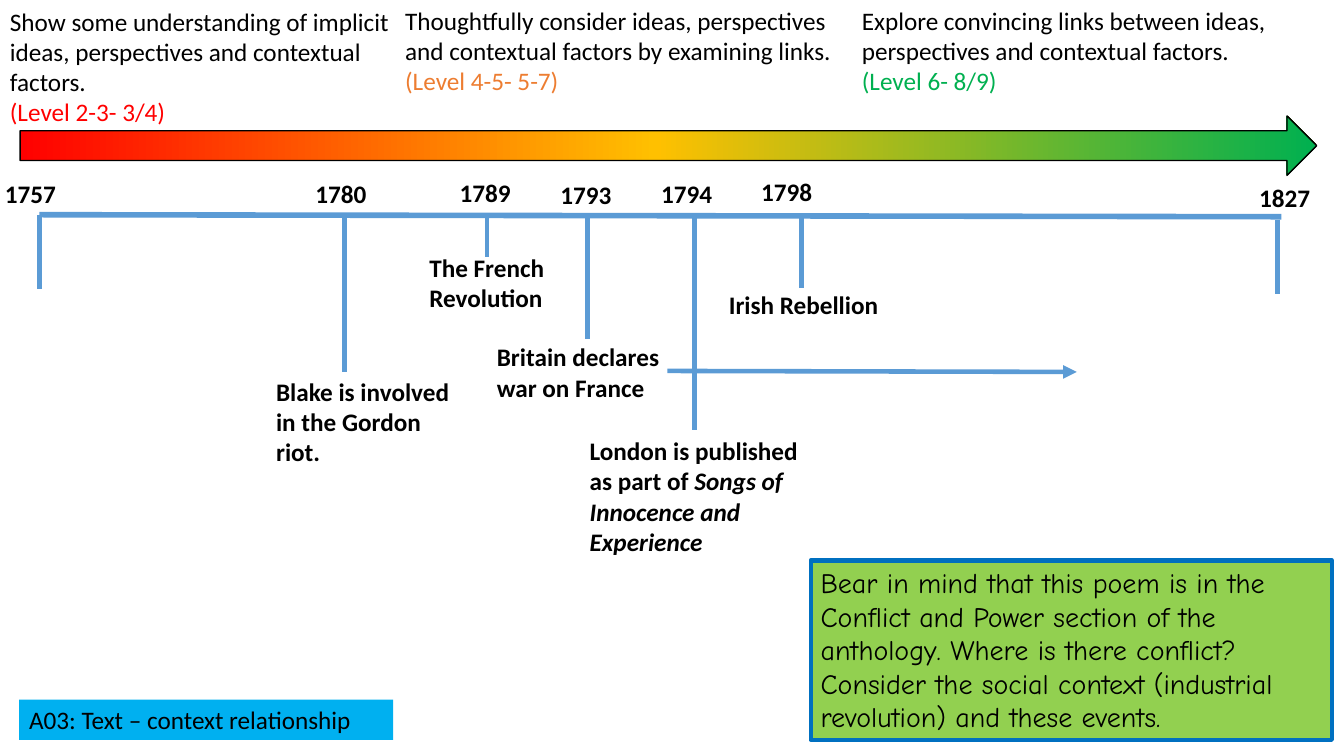
"""Build a timeline slide of events around a poem, under a scale of levels."""
from copy import deepcopy
from typing import NamedTuple

from lxml import etree
from pptx import Presentation
from pptx.dml.color import RGBColor
from pptx.enum import shapes, text
from pptx.oxml import ns
from pptx.util import Inches, Pt

BLACK = RGBColor(0x00, 0x00, 0x00)
RED = RGBColor(0xFF, 0x00, 0x00)
AMBER = RGBColor(0xFF, 0xC0, 0x00)
ORANGE = RGBColor(0xED, 0x7D, 0x31)
GREEN = RGBColor(0x00, 0xB0, 0x50)
LIME = RGBColor(0x92, 0xD0, 0x50)
SKY = RGBColor(0x00, 0xB0, 0xF0)
NAVY = RGBColor(0x00, 0x70, 0xC0)
BLUE = RGBColor(0x5B, 0x9B, 0xD5)


class Box(NamedTuple):
    left: float
    top: float
    width: float
    height: float


class Level(NamedTuple):
    box: Box
    skill: str
    grade: str
    color: RGBColor


class Year(NamedTuple):
    label: str
    left: float
    top: float
    tick: float
    start: float
    end: float


class Event(NamedTuple):
    box: Box
    words: str
    title: str = ""


class Panel(NamedTuple):
    box: Box
    words: str
    fill: RGBColor
    font: str
    size: int
    edge: RGBColor | None = None


LEVELS = [
    Level(Box(0, 0.01, 4.36, 1.31),
          "Show some understanding of implicit ideas, perspectives and contextual factors.",
          "(Level 2-3- 3/4)", RED),
    Level(Box(3.92, 0, 4.53, 1.01),
          "Thoughtfully consider ideas, perspectives and contextual factors by examining links.",
          "(Level 4-5- 5-7)", ORANGE),
    Level(Box(8.45, 0, 4.46, 1.01),
          "Explore convincing links between ideas, perspectives and contextual factors.",
          "(Level 6- 8/9)", GREEN),
]
YEARS = [
    Year("1757", -0.05, 1.72, 0.39, 2.13, 2.87),
    Year("1780", 3.03, 1.72, 3.42, 2.14, 3.69),
    Year("1789", 4.46, 1.71, 4.83, 2.15, 2.55),
    Year("1793", 5.46, 1.73, 5.83, 2.13, 3.36),
    Year("1794", 6.46, 1.72, 6.89, 2.13, 4.27),
    Year("1798", 7.45, 1.7, 7.95, 2.12, 2.86),
    Year("1827", 12.39, 1.76, 12.67, 2.18, 2.92),
]
EVENTS = [
    Event(Box(4.16, 2.45, 1.47, 0.71), "The French Revolution"),
    Event(Box(5.75, 4.27, 2.3, 1.31), "London is published as part of ",
          "Songs of Innocence and Experience"),
    Event(Box(2.64, 3.68, 2, 1.01), "Blake is involved in the Gordon riot."),
    Event(Box(4.83, 3.34, 2.06, 0.71), "Britain declares war on France"),
    Event(Box(7.13, 2.82, 1.82, 0.4), "Irish Rebellion"),
]
PANELS = [
    Panel(Box(8.04, 5.56, 5.17, 1.78),
          "Bear in mind that this poem is in the Conflict and Power section of the "
          "anthology. Where is there conflict? Consider the social context (industrial "
          "revolution) and these events.", LIME, "Comic Neue", 20, NAVY),
    Panel(Box(0.19, 6.94, 3.71, 0.4), "A03: Text – context relationship",
          SKY, "Calibri", 18),
]


def place(box: Box) -> list:
    return [Inches(side) for side in box]


def style(para, color: RGBColor = BLACK, bold: bool = False,
          name: str = "Calibri", size: int = 18) -> None:
    para.alignment = text.PP_ALIGN.LEFT
    font = para.font
    font.name, font.size, font.bold = name, Pt(size), bold
    font.color.rgb = color


def add_text(slide, box: Box):
    frame = slide.shapes.add_textbox(*place(box)).text_frame
    frame.word_wrap = True
    return frame


def add_line(slide, start: tuple, end: tuple, width: float, head: bool = False) -> None:
    line = slide.shapes.add_connector(
        shapes.MSO_CONNECTOR.STRAIGHT, *map(Inches, start + end))
    line.line.color.rgb = BLUE
    line.line.width = Pt(width)
    props = line._element.spPr
    if head:
        etree.SubElement(props.find(ns.qn("a:ln")), ns.qn("a:tailEnd"), type="triangle")
    etree.SubElement(props, ns.qn("a:effectLst"))


def add_scale(slide) -> None:
    arrow = slide.shapes.add_shape(
        shapes.MSO_SHAPE.RIGHT_ARROW, *place(Box(0.2, 1.15, 12.86, 0.59)))
    arrow.shadow.inherit = False
    arrow.line.color.rgb = BLACK
    arrow.line.width = Pt(1)
    arrow.fill.gradient()
    arrow.fill.gradient_angle = 0
    stops = arrow._element.spPr.find(ns.qn("a:gradFill")).find(ns.qn("a:gsLst"))
    stops.insert(1, deepcopy(stops[0]))
    ramp = [(0, RED), (0.49, AMBER), (1, GREEN)]
    for stop, (point, color) in zip(arrow.fill.gradient_stops, ramp):
        stop.position = point
        stop.color.rgb = color


def add_level(slide, level: Level) -> None:
    frame = add_text(slide, level.box)
    skill, grade = frame.paragraphs[0], frame.add_paragraph()
    skill.text, grade.text = level.skill, level.grade
    style(skill)
    style(grade, level.color)


def add_year(slide, year: Year) -> None:
    add_line(slide, (year.tick, year.start), (year.tick, year.end), 3.5)
    add_event(slide, Event(Box(year.left, year.top, 0.87, 0.4), year.label))


def add_event(slide, event: Event) -> None:
    para = add_text(slide, event.box).paragraphs[0]
    para.add_run().text = event.words
    if event.title:
        run = para.add_run()
        run.text = event.title
        run.font.italic = True
    style(para, bold=True)


def add_panel(slide, panel: Panel) -> None:
    shape = slide.shapes.add_shape(shapes.MSO_SHAPE.RECTANGLE, *place(panel.box))
    shape.shadow.inherit = False
    shape.fill.solid()
    shape.fill.fore_color.rgb = panel.fill
    if panel.edge:
        shape.line.color.rgb = panel.edge
        shape.line.width = Pt(3)
    else:
        shape.line.fill.background()
    frame = shape.text_frame
    frame.word_wrap = True
    frame.vertical_anchor = text.MSO_ANCHOR.TOP
    frame.text = panel.words
    style(frame.paragraphs[0], name=panel.font, size=panel.size)


def main() -> None:
    deck = Presentation()
    deck.slide_width, deck.slide_height = Inches(13.33), Inches(7.5)
    slide = deck.slides.add_slide(deck.slide_layouts[6])
    add_scale(slide)
    for level in LEVELS:
        add_level(slide, level)
    add_line(slide, (0.39, 2.13), (12.71, 2.15), 4)
    for year in YEARS:
        add_year(slide, year)
    for event in EVENTS:
        add_event(slide, event)
    add_line(slide, (6.62, 3.68), (10.68, 3.69), 3.25, head=True)
    for panel in PANELS:
        add_panel(slide, panel)
    deck.save("out.pptx")


if __name__ == "__main__":
    main()
